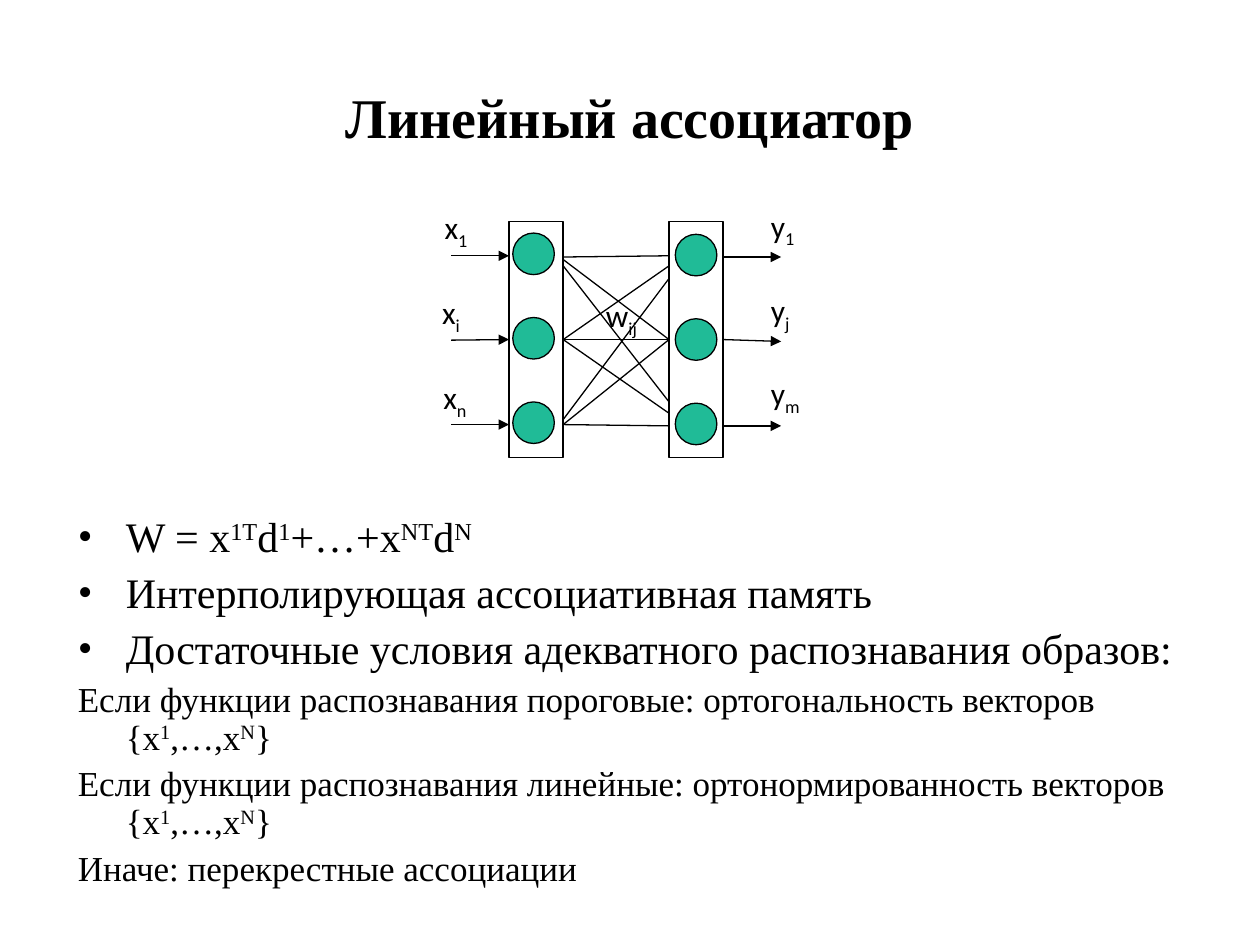
from lxml import etree
from pptx import Presentation
from pptx.dml.color import RGBColor
from pptx.enum import shapes, text
from pptx.oxml.ns import qn
from pptx.util import Inches, Pt

# Content: "|" switches between normal and raised (or lowered) text
TITLE = "Линейный ассоциатор"
BULLETS = [
    "W = x|1T|d|1|+…+x|NT|d|N",
    "Интерполирующая ассоциативная память",
    "Достаточные условия адекватного распознавания образов:",
]
CONDITIONS = [
    "Если функции распознавания пороговые: ортогональность векторов {x|1|,…,x|N|}",
    "Если функции распознавания линейные: ортонормированность векторов {x|1|,…,x|N|}",
    "Иначе: перекрестные ассоциации",
]
LABELS = [
    ("x|1", 3.43, 1.6), ("x|i", 3.41, 2.28), ("x|n", 3.42, 2.95),
    ("y|1", 6.02, 1.59), ("y|j", 6.02, 2.26), ("y|m", 6.02, 2.92),
    ("w|ij", 4.71, 2.3),
]
# Heights at which each weight line leaves the input and meets the output layer
WEIGHTS = [
    (2.04, 2.03), (2.06, 2.68), (2.11, 3.19),
    (2.69, 2.11), (2.71, 2.71), (2.7, 3.28),
    (3.33, 2.21), (3.37, 2.71), (3.37, 3.38),
]

# Network geometry
LAYER_TOP, LAYER_WIDTH, LAYER_HEIGHT = 1.76, 0.43, 1.87
MIDDLE = LAYER_TOP + LAYER_HEIGHT / 2
INPUT_LEFT, OUTPUT_LEFT = 4.04, 5.31
INPUT_RIGHT, OUTPUT_RIGHT = INPUT_LEFT + LAYER_WIDTH, OUTPUT_LEFT + LAYER_WIDTH
NEURON, NEURON_STEP, ARROW = 0.33, 0.67, 0.46
LEFT_SIDE, RIGHT_SIDE = 1, 3
BLACK, GREEN = "000000", "20BB97"

presentation = Presentation()
presentation.slide_width, presentation.slide_height = Inches(10), Inches(7.5)
slide = presentation.slides.add_slide(presentation.slide_layouts[6])


def color(value):
    return RGBColor.from_string(value)


def add_text_box(left, top, width, height):
    frame = slide.shapes.add_textbox(*map(Inches, (left, top, width, height))).text_frame
    frame.word_wrap = True
    return frame


def write(paragraph, marked, size, font, shift=30, bold=False):
    for index, part in enumerate(marked.split("|")):
        run = paragraph.add_run()
        run.text = part
        run.font.size, run.font.name, run.font.bold = Pt(size), font, bold
        run.font.color.rgb = color(BLACK)
        if index % 2:
            run.font._element.set("baseline", str(shift * 1000))


def add_outlined(kind, left, top, width, height, fill=None):
    shape = slide.shapes.add_shape(kind, *map(Inches, (left, top, width, height)))
    shape.shadow.inherit = False
    shape.line.color.rgb, shape.line.width = color(BLACK), Pt(0.75)
    if fill:
        shape.fill.solid()
        shape.fill.fore_color.rgb = color(fill)
    else:
        shape.fill.background()
    return shape


def add_link(start, end, source=None, target=None, arrow=False):
    """Draw a line and join it to a layer where it meets the middle of a side."""
    line = slide.shapes.add_connector(
        shapes.MSO_CONNECTOR.STRAIGHT, *map(Inches, (*start, *end)))
    line.line.color.rgb, line.line.width = color(BLACK), Pt(0.75)
    if arrow:
        etree.SubElement(line.line._get_or_add_ln(), qn("a:tailEnd"), type="triangle")
    etree.SubElement(line._element.spPr, qn("a:effectLst"))
    if source and abs(start[1] - MIDDLE) < 0.02:
        line.begin_connect(source, RIGHT_SIDE)
    if target and abs(end[1] - MIDDLE) < 0.02:
        line.end_connect(target, LEFT_SIDE)


# Title
frame = add_text_box(0.5, 0.3, 9, 1.25)
frame.vertical_anchor = text.MSO_ANCHOR.MIDDLE
frame.paragraphs[0].alignment = text.PP_ALIGN.CENTER
write(frame.paragraphs[0], TITLE, 32, "Times New Roman", bold=True)

# Bullets and conditions, all with a hanging indent
frame = add_text_box(0.52, 4.05, 9, 3.26)
for index, line_text in enumerate(BULLETS + CONDITIONS):
    paragraph = frame.paragraphs[0] if index == 0 else frame.add_paragraph()
    is_bullet = index < len(BULLETS)
    paragraph.line_spacing = 0.9
    paragraph.space_before = Pt(6 if is_bullet else 5)
    properties = paragraph._p.get_or_add_pPr()
    properties.set("marL", str(Inches(0.38)))
    properties.set("indent", str(-Inches(0.38)))
    if is_bullet:
        etree.SubElement(properties, qn("a:buFont"), typeface="Times New Roman")
        etree.SubElement(properties, qn("a:buChar"), char="•")
    else:
        etree.SubElement(properties, qn("a:buNone"))
    write(paragraph, line_text, 24 if is_bullet else 20, "Times New Roman")

# Layers and weights
input_layer, output_layer = [
    add_outlined(shapes.MSO_SHAPE.RECTANGLE, left, LAYER_TOP, LAYER_WIDTH, LAYER_HEIGHT)
    for left in (INPUT_LEFT, OUTPUT_LEFT)]
for start_y, end_y in WEIGHTS:
    add_link((INPUT_RIGHT, start_y), (OUTPUT_LEFT, end_y), input_layer, output_layer)

# Neurons with their input and output arrows
for row in range(3):
    offset = row * NEURON_STEP
    for left, top in ((4.07, 1.85), (5.36, 1.86)):
        add_outlined(shapes.MSO_SHAPE.OVAL, left, top + offset, NEURON, NEURON, GREEN)
    input_y, output_y = 2.03 + offset, 2.04 + offset
    add_link((INPUT_LEFT - ARROW, input_y), (INPUT_LEFT, input_y),
             target=input_layer, arrow=True)
    add_link((OUTPUT_RIGHT, output_y), (OUTPUT_RIGHT + ARROW, output_y),
             source=output_layer, arrow=True)

# Signal and weight labels
for label, left, top in LABELS:
    frame = add_text_box(left, top, 0.58, 0.44)
    write(frame.paragraphs[0], label, 18, "Calibri", shift=-25)

presentation.save("out.pptx")
